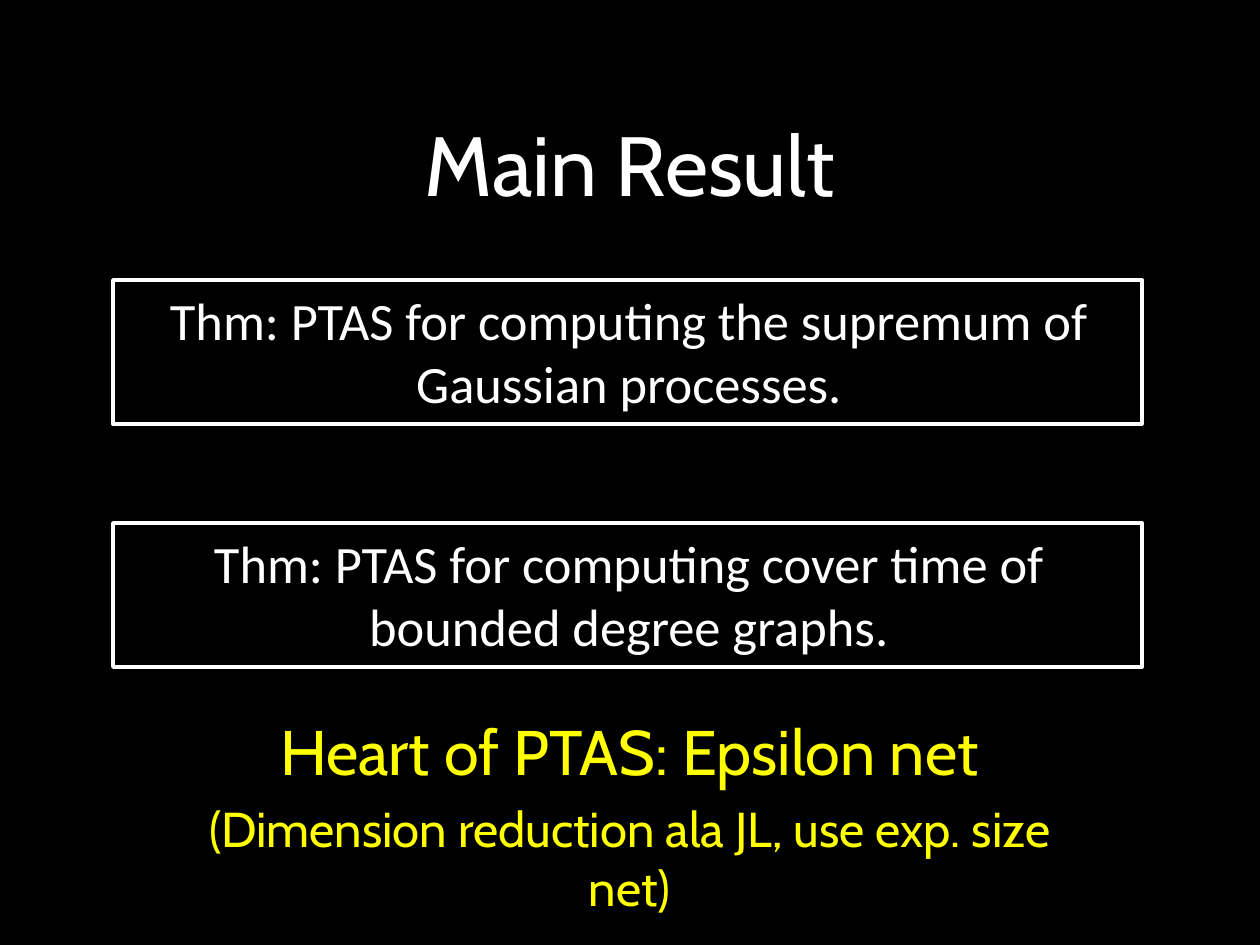
"""Build the Main Result slide with two framed theorems and a closing remark."""
import pptx
import pptx.util
import pptx.dml.color
import pptx.enum.shapes
import pptx.enum.text

BLACK = pptx.dml.color.RGBColor(0, 0, 0)
WHITE = pptx.dml.color.RGBColor(255, 255, 255)
YELLOW = pptx.dml.color.RGBColor(255, 255, 0)
ANCHOR = pptx.enum.text.MSO_ANCHOR
PX_PER_INCH = 126

TITLE = [("Main Result", 48, 0)]
THEOREMS = [
    "Thm: PTAS for computing the supremum of Gaussian processes.",
    "Thm: PTAS for computing cover time of bounded degree graphs.",
]
REMARK = [
    ("Heart of PTAS: Epsilon net", 36, 7),
    ("(Dimension reduction ala JL, use exp. size net)", 28, 6),
]

TITLE_BOX = (94, 84, 1071, 158)
THEOREM_BOX = (106, 282, 1046, 140)
FRAME_BOX = (113, 280, 1029, 144)
REMARK_BOX = (160, 706, 939, 161)
THEOREM_STEP = 243


def place(box, down=0):
    left, top, width, height = box
    return [pptx.util.Emu(round(px * 914400 / PX_PER_INCH))
            for px in (left, top + down, width, height)]


def add_text(shapes, position, lines, font_name, color, anchor=ANCHOR.TOP):
    frame = shapes.add_textbox(*position).text_frame
    for name, value in {"word_wrap": True, "vertical_anchor": anchor}.items():
        setattr(frame, name, value)
    for index, (text, size, space) in enumerate(lines):
        paragraph = frame.add_paragraph() if index else frame.paragraphs[0]
        paragraph.alignment = pptx.enum.text.PP_ALIGN.CENTER
        paragraph.space_before = pptx.util.Pt(space)
        run = paragraph.add_run()
        run.text = text
        font_format = {"name": font_name, "size": pptx.util.Pt(size)}
        for name, value in font_format.items():
            setattr(run.font, name, value)
        run.font.color.rgb = color


def add_theorem(slide, text, down):
    group = slide.shapes.add_group_shape()
    add_text(group.shapes, place(THEOREM_BOX, down), [(text, 30, 0)], "Calibri", WHITE)
    border = group.shapes.add_shape(
        pptx.enum.shapes.MSO_SHAPE.RECTANGLE, *place(FRAME_BOX, down))
    border.shadow.inherit = False
    border.fill.background()
    border.line.color.rgb = WHITE
    border.line.width = pptx.util.Pt(2)


def main():
    presentation = pptx.Presentation()
    presentation.slide_width = pptx.util.Inches(10)
    presentation.slide_height = pptx.util.Inches(7.5)
    slide = presentation.slides.add_slide(presentation.slide_layouts[6])
    slide.background.fill.solid()
    slide.background.fill.fore_color.rgb = BLACK

    add_text(slide.shapes, place(TITLE_BOX), TITLE, "Cabin", WHITE, ANCHOR.MIDDLE)
    for index, text in enumerate(THEOREMS):
        add_theorem(slide, text, index * THEOREM_STEP)
    add_text(slide.shapes, place(REMARK_BOX), REMARK, "Cabin", YELLOW)
    presentation.save("out.pptx")


if __name__ == "__main__":
    main()
